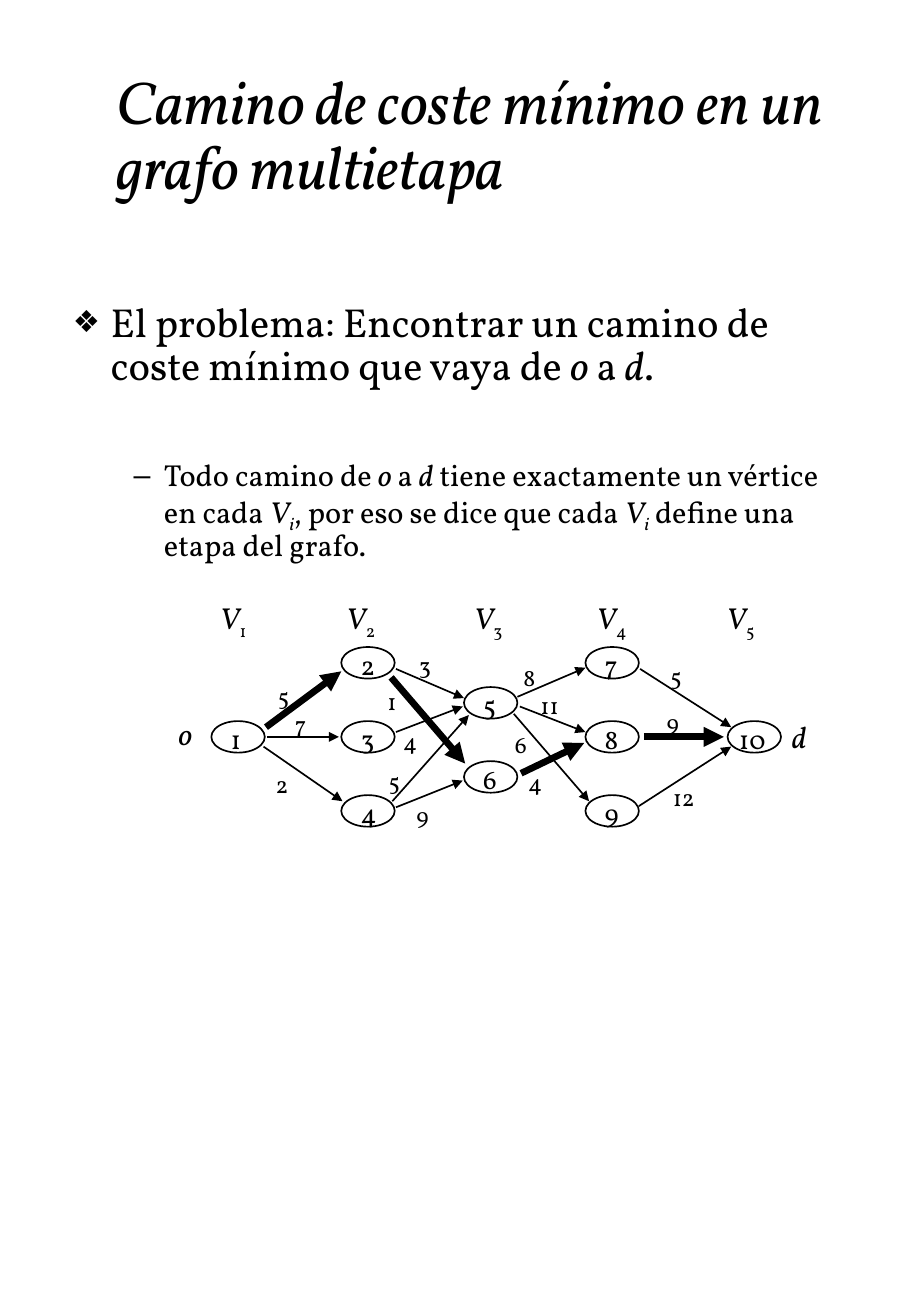
import dataclasses

import pptx
import pptx.dml.color
import pptx.enum.shapes
import pptx.enum.text
import pptx.oxml.ns
import pptx.util
from lxml import etree
from pptx.util import Inches


@dataclasses.dataclass
class Theme:
    font: str = "Vollkorn"
    ink: str = "000000"
    title: int = 36
    problem: int = 24
    detail: int = 18
    stage: int = 18
    node: int = 16
    cost: int = 14
    thin: int = 1
    thick: int = 4


def add_xml(parent, tag, **attributes):
    return etree.SubElement(parent, pptx.oxml.ns.qn(tag), **attributes)


class GraphSlide:
    def __init__(self, deck, theme):
        self.theme = theme
        self.ink = pptx.dml.color.RGBColor.from_string(theme.ink)
        self.page = deck.slides.add_slide(deck.slide_layouts[1])
        self.graph = self.page.shapes.add_group_shape().shapes

    def place(self, holder, left, top, width, height, anchor):
        holder.left, holder.top = Inches(left), Inches(top)
        holder.width, holder.height = Inches(width), Inches(height)
        frame = holder.text_frame
        frame.word_wrap = True
        frame.auto_size = pptx.enum.text.MSO_AUTO_SIZE.NONE
        frame.vertical_anchor = anchor
        return frame

    def add_spans(self, para, size, runs):
        for text, style in runs:
            span = para.add_run()
            span.text = text
            span.font.name = self.theme.font
            span.font.size = pptx.util.Pt(size)
            span.font.color.rgb = self.ink
            span.font.italic = "i" in style
            if "s" in style:
                span.font._element.set("baseline", "-25000")

    def title(self, text, *place):
        frame = self.place(self.page.shapes.title, *place, pptx.enum.text.MSO_ANCHOR.MIDDLE)
        para = frame.paragraphs[0]
        para.alignment = pptx.enum.text.PP_ALIGN.LEFT
        para.line_spacing = 0.9
        self.add_spans(para, self.theme.title, [(text, "i")])

    def body(self, items, *place):
        frame = self.place(self.page.placeholders[1], *place, pptx.enum.text.MSO_ANCHOR.TOP)
        for index, (bullet, percent, margin, hang, before, size, runs) in enumerate(items):
            para = frame.add_paragraph() if index else frame.paragraphs[0]
            para.level = index
            properties = para._p.get_or_add_pPr()
            properties.set("marL", str(Inches(margin)))
            properties.set("indent", str(Inches(-hang)))
            add_xml(add_xml(properties, "a:buClr"), "a:srgbClr", val=self.theme.ink)
            add_xml(properties, "a:buSzPct", val=str(percent * 1000))
            add_xml(properties, "a:buChar", char=bullet)
            para.line_spacing = 0.9
            para.space_before = pptx.util.Pt(before)
            self.add_spans(para, size, runs)

    def label(self, left, top, width, height, size, runs, wrap=False):
        box = self.graph.add_textbox(Inches(left), Inches(top), Inches(width), Inches(height))
        box.text_frame.word_wrap = wrap
        box.text_frame.auto_size = pptx.enum.text.MSO_AUTO_SIZE.SHAPE_TO_FIT_TEXT
        self.add_spans(box.text_frame.paragraphs[0], size, runs)

    def node(self, number, left, top):
        oval = self.graph.add_shape(
            pptx.enum.shapes.MSO_SHAPE.OVAL, Inches(left), Inches(top), Inches(0.44), Inches(0.26))
        oval.shadow.inherit = False
        oval.fill.background()
        oval.line.color.rgb = self.ink
        oval.line.width = pptx.util.Pt(self.theme.thin)
        text = str(number)
        width = 0.19 + 0.13 * len(text)
        self.label(left + (0.44 - width) / 2, top - 0.04, width, 0.36,
                   self.theme.node, [(text, "")])

    def edge(self, start, end, cost, cost_at, thick=False):
        arrow = self.graph.add_connector(
            pptx.enum.shapes.MSO_CONNECTOR.STRAIGHT, *map(Inches, start + end))
        arrow.line.color.rgb = self.ink
        arrow.line.width = pptx.util.Pt(self.theme.thick if thick else self.theme.thin)
        properties = arrow._element.spPr
        add_xml(properties.find(pptx.oxml.ns.qn("a:ln")), "a:tailEnd", type="triangle")
        add_xml(properties, "a:effectLst")
        text = str(cost)
        self.label(*cost_at, 0.2 + 0.11 * len(text), 0.33, self.theme.cost, [(text, "")])


STAGES = [
    (1.71, 1.74, [5.94]),
    (2.75, 2.81, [5.33, 5.94, 6.55]),
    (3.8, 3.82, [5.66, 6.27]),
    (4.81, 4.82, [5.33, 5.94, 6.55]),
    (5.88, 5.99, [5.94]),
]

EDGES = [
    ((2.19, 5.99), (2.81, 5.53), 5, (2.19, 5.57), True),
    ((2.2, 6.07), (2.79, 6.07), 7, (2.33, 5.8)),
    ((2.17, 6.15), (2.82, 6.6), 2, (2.17, 6.29)),
    ((3.26, 5.51), (3.82, 5.75), 3, (3.35, 5.31)),
    ((3.22, 5.58), (3.83, 6.29), 1, (3.09, 5.61), True),
    ((3.26, 6.03), (3.81, 5.82), 4, (3.22, 5.94)),
    ((3.23, 6.6), (3.86, 5.89), 5, (3.1, 6.27)),
    ((3.26, 6.65), (3.81, 6.43), 9, (3.33, 6.55)),
    ((4.26, 5.74), (4.82, 5.5), 8, (4.21, 5.41)),
    ((4.28, 5.82), (4.82, 6.03), 11, (4.35, 5.64)),
    ((4.23, 5.88), (4.85, 6.6), 6, (4.14, 5.96)),
    ((4.29, 6.37), (4.81, 6.12), 4, (4.25, 6.28), True),
    ((5.3, 6.07), (5.96, 6.07), 9, (5.39, 5.78), True),
    ((5.27, 5.51), (6.02, 5.99), 5, (5.42, 5.4)),
    ((5.26, 6.64), (6.02, 6.15), 12, (5.44, 6.4)),
]


def main():
    deck = pptx.Presentation()
    deck.slide_width, deck.slide_height = Inches(7.5), Inches(10.84)
    theme = Theme()
    slide = GraphSlide(deck, theme)

    slide.title("Camino de coste mínimo en un grafo multietapa", 0.86, 0.34, 6.47, 1.58)
    route = [("o", "i"), (" a ", ""), ("d", "i")]
    stage_set = [("V", "i"), ("i", "is")]
    problem = [("El problema: Encontrar un camino de coste mínimo que vaya de ", ""),
               *route, (".", "")]
    detail = [("Todo camino de ", ""), *route, (" tiene exactamente un vértice en cada ", ""),
              *stage_set, (", por eso se dice que cada ", ""),
              *stage_set, (" define una etapa del grafo.", "")]
    slide.body([("❖", 75, 0.31, 0.31, 0, theme.problem, problem),
                ("–", 100, 0.75, 0.25, 42, theme.detail, detail)], 0.5, 2.44, 6.42, 7.17)

    number = 0
    for stage, (label_left, node_left, tops) in enumerate(STAGES, 1):
        slide.label(label_left, 4.89, 0.45, 0.44, theme.stage, [("V", "i"), (str(stage), "s")])
        for top in tops:
            number += 1
            slide.node(number, node_left, top)
    for edge in EDGES:
        slide.edge(*edge)
    slide.label(1.37, 5.84, 0.52, 0.4, theme.stage, [("o", "i")], wrap=True)
    slide.label(6.42, 5.87, 0.59, 0.4, theme.stage, [("d", "i")], wrap=True)

    deck.save("out.pptx")


if __name__ == "__main__":
    main()
